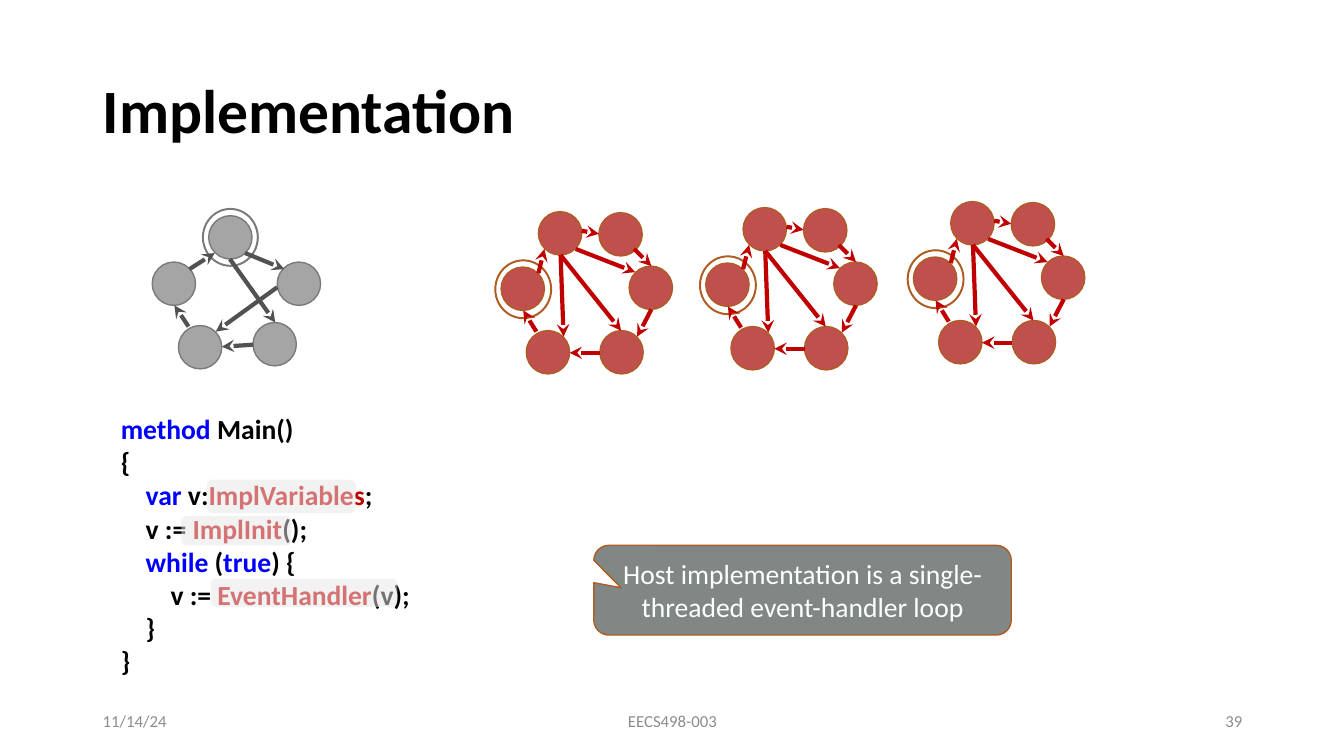
from lxml import etree
from pptx import Presentation, util as u
from pptx.dml.color import RGBColor
from pptx.enum import shapes, text
from pptx.oxml.ns import qn

BLACK = RGBColor(0x00, 0x00, 0x00)
WHITE = RGBColor(0xFF, 0xFF, 0xFF)
BLUE = RGBColor(0x00, 0x00, 0xFF)
RED = RGBColor(0xC0, 0x00, 0x00)
ROSE = RGBColor(0xC0, 0x50, 0x4D)
ORANGE = RGBColor(0xED, 0x7D, 0x31)
BROWN = RGBColor(0xAF, 0x5C, 0x24)
GREY = RGBColor(0xA5, 0xA5, 0xA5)
EDGE = RGBColor(0x7A, 0x7A, 0x7A)
DARK = RGBColor(0x52, 0x52, 0x52)
SLATE = RGBColor(0x80, 0x87, 0x85)
PALE = RGBColor(0xE7, 0xE6, 0xE6)
MUTED = RGBColor(0x8C, 0x8C, 0x8C)

FONT = "Calibri"
NODE = 0.43
SHAPE = shapes.MSO_SHAPE
ALIGN = text.PP_ALIGN
MIDDLE = text.MSO_ANCHOR.MIDDLE
TOP = text.MSO_ANCHOR.TOP

# Node corners, ring box and arrows, measured from a graph's top left corner
SPEC = dict(
    nodes=[(0, 0.53), (1.24, 0.53), (0.26, 1.16), (0.56, 0.07), (1, 1.13)],
    ring=(0.5, 0, 0.55, 0.57),
    edges=[(0.37, 0.6, 0.62, 0.44), (0.92, 0.44, 1.31, 0.6),
           (0.77, 0.5, 1.22, 1.13), (1.24, 0.78, 0.63, 1.22),
           (1, 1.35, 0.69, 1.37), (0.36, 1.17, 0.22, 0.96)],
    fill=GREY, hoop=GREY, rim=EDGE, ink=DARK)
HOST = dict(
    nodes=[(0.06, 0.55), (1.33, 0.54), (0.31, 1.18), (0.43, 0),
           (1.04, 1.18), (1.03, 0.01)],
    ring=(0, 0.48, 0.56, 0.58),
    edges=[(0.43, 0.61, 0.49, 0.37), (0.8, 0.37, 1.39, 0.6),
           (0.65, 0.43, 1.25, 1.18), (0.65, 0.43, 0.68, 1.24),
           (1.04, 1.4, 0.74, 1.4), (0.41, 1.19, 0.28, 0.98),
           (0.86, 0.19, 1.03, 0.22), (1.38, 0.37, 1.55, 0.54),
           (1.55, 0.97, 1.41, 1.24)],
    fill=ROSE, hoop=ORANGE, rim=BROWN, ink=RED)

CODE = [
    [("method ", BLUE), ("Main()", BLACK)],
    [("{", BLACK)],
    [("    ", BLACK), ("var ", BLUE), ("v:", BLACK),
     ("ImplVariables", RED), (";", BLACK)],
    [("    v := ", BLACK), ("ImplInit", RED), ("();", BLACK)],
    [("    ", BLACK), ("while ", BLUE), ("(", BLACK), ("true", BLUE),
     (") {", BLACK)],
    [("        v := ", BLACK), ("EventHandler", RED), ("(v);", BLACK)],
    [("    }", BLACK)],
    [("}", BLACK)],
]


def inch(*sizes):
    return [u.Inches(size) for size in sizes]


def write(shape, lines, size, bold=False, align=ALIGN.LEFT, anchor=MIDDLE,
          gap=None):
    """Fill a shape with lines, each a list of (words, colour)."""
    frame = shape.text_frame
    frame.word_wrap = True
    frame.vertical_anchor = anchor
    for i, line in enumerate(lines):
        para = frame.paragraphs[0] if i == 0 else frame.add_paragraph()
        para.alignment = align
        if gap:
            para.line_spacing = gap
        for words, color in line:
            run = para.add_run()
            run.text = words
            run.font.name = FONT
            run.font.size = u.Pt(size)
            run.font.bold = bold
            run.font.color.rgb = color


def label(slide, box, lines, size, **style):
    shape = slide.shapes.add_textbox(*inch(*box))
    write(shape, lines, size, **style)
    return shape


def draw(slide, kind, box, fill, rim=None, adjust=()):
    shape = slide.shapes.add_shape(kind, *inch(*box))
    shape.shadow.inherit = False
    shape.fill.solid()
    shape.fill.fore_color.rgb = fill
    if rim is None:
        shape.line.fill.background()
    else:
        shape.line.color.rgb = rim
        shape.line.width = u.Pt(1)
    for i, value in enumerate(adjust):
        shape.adjustments[i] = value
    return shape


def arrow(slide, ends, ink):
    line = slide.shapes.add_connector(shapes.MSO_CONNECTOR.STRAIGHT,
                                      *inch(*ends))
    line.line.color.rgb = ink
    line.line.width = u.Pt(3)
    etree.SubElement(line.line._get_or_add_ln(), qn("a:tailEnd"),
                     type="stealth")
    etree.SubElement(line._element.spPr, qn("a:effectLst"))


def graph(slide, x, y, nodes, ring, edges, fill, hoop, rim, ink):
    for dx, dy in nodes:
        draw(slide, SHAPE.OVAL, (x + dx, y + dy, NODE, NODE), fill, rim)
    dx, dy, w, h = ring
    draw(slide, SHAPE.DONUT, (x + dx, y + dy, w, h), hoop, rim, [0.01])
    for x1, y1, x2, y2 in edges:
        arrow(slide, (x + x1, y + y1, x + x2, y + y2), ink)


def listing(slide, x, y, w, h):
    shape = label(slide, (x, y, w, h), CODE, 19.7, bold=True, anchor=TOP)
    shape.text_frame.auto_size = text.MSO_AUTO_SIZE.SHAPE_TO_FIT_TEXT
    # Translucent marks over the host's own names
    for dx, dy, wide, high in [(0.95, 0.72, 1.48, 0.33),
                               (0.7, 1.08, 1.09, 0.29),
                               (0.99, 1.7, 1.85, 0.28)]:
        mark = draw(slide, SHAPE.ROUNDED_RECTANGLE,
                    (x + dx, y + dy, wide, high), PALE)
        tint = mark._element.spPr.find(".//" + qn("a:srgbClr"))
        etree.SubElement(tint, qn("a:alpha"), val="50000")


def callout(slide, x, y, w, h):
    shape = draw(slide, SHAPE.ROUNDED_RECTANGULAR_CALLOUT, (x, y, w, h),
                 SLATE, BROWN, [-0.435, -0.027, 0.167])
    words = "Host implementation is a single-threaded event-handler loop"
    write(shape, [[(words, WHITE)]], 19.7, align=ALIGN.CENTER)


def footer(slide, y, h):
    for x, w, words, align in [(0.92, 3, "11/14/24", ALIGN.LEFT),
                               (4.42, 4.5, "EECS498-003", ALIGN.CENTER),
                               (9.42, 3, "39", ALIGN.RIGHT)]:
        label(slide, (x, y, w, h), [[(words, MUTED)]], 12, align=align)


def main():
    deck = Presentation()
    deck.slide_width, deck.slide_height = inch(13.33, 7.5)
    slide = deck.slides.add_slide(deck.slide_layouts[6])
    # Title
    label(slide, (0.92, 0.4, 11.5, 1.45), [[("Implementation", BLACK)]], 44,
          bold=True, gap=0.9)
    # One grey graph, three red ones
    graph(slide, 1.51, 2.07, **SPEC)
    for x, y in [(4.91, 2.1), (6.94, 2.06), (9, 2)]:
        graph(slide, x, y, **HOST)
    # Code, its remark and the footer
    listing(slide, 1.1, 4.04, 4.46, 2.75)
    callout(slide, 5.89, 5.41, 4.14, 0.89)
    footer(slide, 6.95, 0.4)
    deck.save("out.pptx")


if __name__ == "__main__":
    main()
